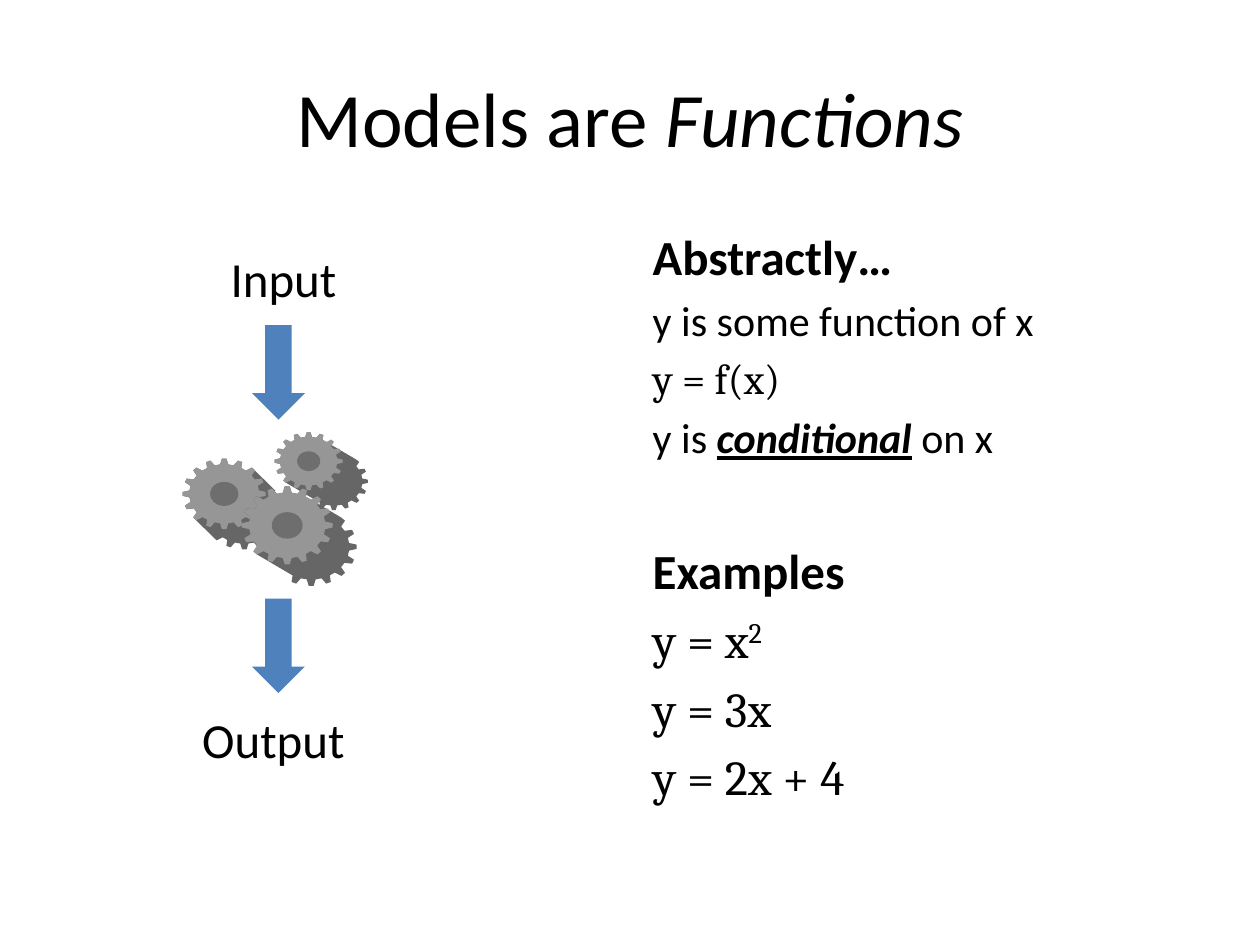
from math import cos, sin, tau
from lxml import etree
from pptx import Presentation
from pptx.dml.color import RGBColor
from pptx.enum.shapes import MSO_SHAPE
from pptx.enum.text import MSO_ANCHOR, PP_ALIGN
from pptx.oxml.ns import qn
from pptx.util import Inches, Pt

DOWN_ARROW, OVAL = MSO_SHAPE.DOWN_ARROW, MSO_SHAPE.OVAL
CENTER, MIDDLE = PP_ALIGN.CENTER, MSO_ANCHOR.MIDDLE
COLORS = {name: RGBColor.from_string(value) for name, value in {
    "text": "000000", "arrow": "4F81BD", "face": "969696",
    "side": "666666", "hole": "6E6E6E"}.items()}

presentation = Presentation()
presentation.slide_width, presentation.slide_height = Inches(10), Inches(7.5)
slide = presentation.slides.add_slide(presentation.slide_layouts[1])
shapes = slide.shapes


def place(shape, left, top, width, height):
    shape.left, shape.top = Inches(left), Inches(top)
    shape.width, shape.height = Inches(width), Inches(height)


def paint(shape, color):
    shape.shadow.inherit = False
    shape.fill.solid()
    shape.fill.fore_color.rgb = COLORS[color]
    shape.line.fill.background()


title = shapes.title
place(title, 0.5, 0.3, 9, 1.25)
title.text_frame.vertical_anchor = MIDDLE
paragraph = title.text_frame.paragraphs[0]
paragraph.alignment = CENTER
paragraph.font.size, paragraph.font.name = Pt(44), "Calibri"
paragraph.font.color.rgb = COLORS["text"]
paragraph.add_run().text = "Models are "
functions = paragraph.add_run()
functions.text = "Functions"
functions.font.italic = True

body = slide.placeholders[1]
place(body, 5.08, 1.75, 4.42, 4.95)
frame = body.text_frame
lines = [
    (["Abstractly…"], 28, "Calibri", True),
    (["y is some function of x"], 24, "Calibri", False),
    (["y = f(x)"], 24, "Cambria", False),
    (["y is ", "conditional", " on x"], 24, "Calibri", False),
    (["Examples"], 28, "Calibri", True),
    (["y = x", "2"], 28, "Cambria", False),
    (["y = 3x"], 28, "Cambria", False),
    (["y = 2x + 4"], 28, "Cambria", False),
]
for index, (texts, size, font_name, bold) in enumerate(lines):
    paragraph = frame.add_paragraph() if index else frame.paragraphs[0]
    paragraph.space_before = Pt(45 if texts[0] == "Examples" else size * 0.2)
    properties = paragraph._p.get_or_add_pPr()
    properties.set("marL", str(Inches(0.38)))
    properties.set("indent", str(Inches(-0.38)))
    etree.SubElement(properties, qn("a:buNone"))
    paragraph.font.size, paragraph.font.name = Pt(size), font_name
    paragraph.font.bold = bold
    paragraph.font.color.rgb = COLORS["text"]
    for text in texts:
        run = paragraph.add_run()
        run.text = text
        if text == "conditional":
            run.font.bold = run.font.italic = run.font.underline = True
        elif text == "2":
            run._r.get_or_add_rPr().set("baseline", "30000")

TEETH = 16
TOOTH = [(-0.3, 0.84), (-0.14, 1), (0.14, 1), (0.3, 0.84)]
gears = [
    (2.45, 3.66, 0.27, 0.23, 0.2, 0.16),
    (1.78, 3.92, 0.33, 0.28, 0.16, 0.16),
    (2.28, 4.17, 0.36, 0.31, 0.19, 0.17),
]
for center_x, center_y, radius_x, radius_y, depth_x, depth_y in gears:
    face_points, side_points = [], []
    for tooth in range(TEETH):
        for offset, reach in TOOTH:
            angle = tau * (tooth + offset) / TEETH
            x = center_x + radius_x * reach * cos(angle)
            y = center_y + radius_y * reach * sin(angle)
            behind = depth_x * cos(angle) + depth_y * sin(angle) > 0
            face_points.append((Inches(x), Inches(y)))
            side_points.append((Inches(x + depth_x * behind), Inches(y + depth_y * behind)))
    for points, color in ((side_points, "side"), (face_points, "face")):
        builder = shapes.build_freeform(*points[0])
        builder.add_line_segments(points[1:], close=True)
        paint(builder.convert_to_shape(), color)
    hole_x, hole_y = radius_x * 0.34, radius_y * 0.34
    hole = shapes.add_shape(OVAL, Inches(center_x - hole_x), Inches(center_y - hole_y),
                            Inches(2 * hole_x), Inches(2 * hole_y))
    paint(hole, "hole")

for top in (2.58, 4.75):
    arrow = shapes.add_shape(DOWN_ARROW, Inches(2), Inches(top), Inches(0.42), Inches(0.75))
    paint(arrow, "arrow")

for text, left, top in (("Input", 1, 1.92), ("Output", 0.92, 5.58)):
    label = shapes.add_textbox(Inches(left), Inches(top), Inches(2.5), Inches(0.57))
    label.text_frame.word_wrap = True
    paragraph = label.text_frame.paragraphs[0]
    paragraph.text = text
    paragraph.alignment = CENTER
    paragraph.font.size, paragraph.font.name = Pt(28), "Calibri"
    paragraph.font.color.rgb = COLORS["text"]

presentation.save("out.pptx")
